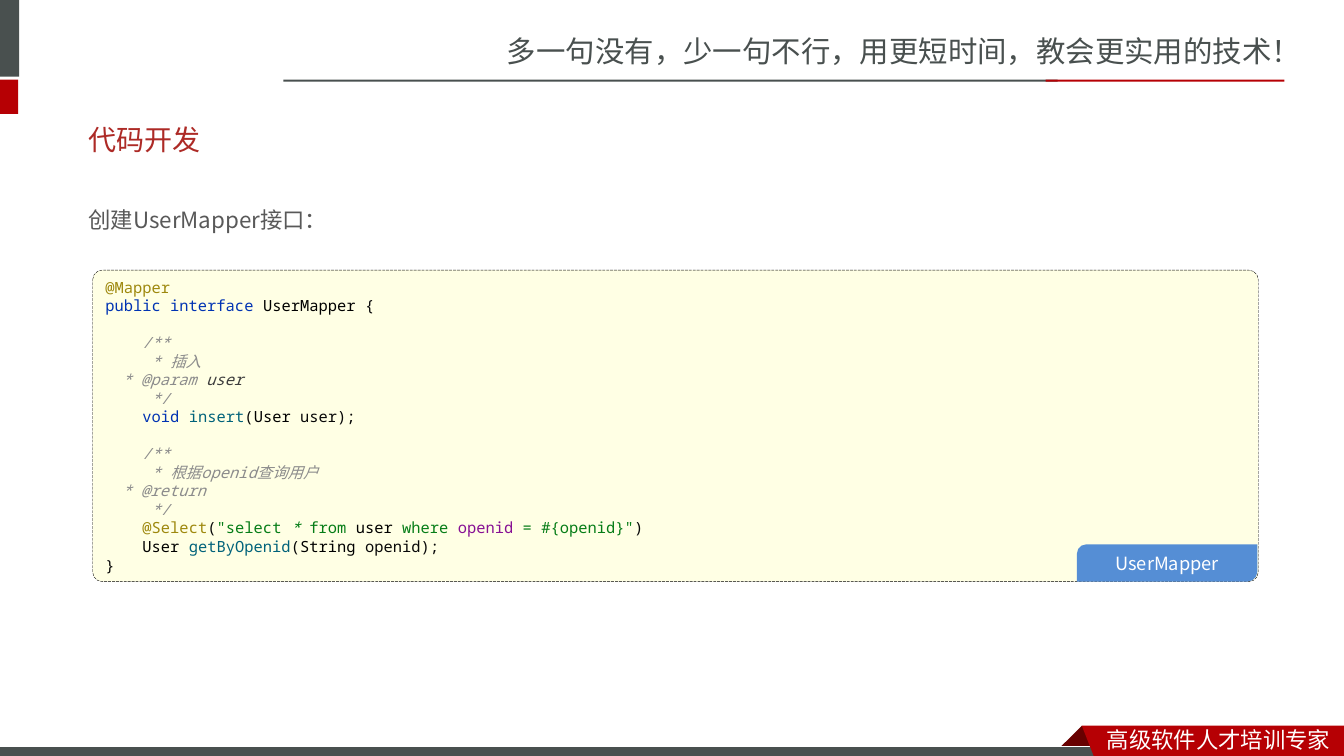
from dataclasses import dataclass
from typing import NamedTuple

from pptx import Presentation
from pptx.dml.color import RGBColor
from pptx.enum.dml import MSO_LINE
from pptx.enum.shapes import MSO_SHAPE
from pptx.enum.text import MSO_ANCHOR, PP_ALIGN
from pptx.oxml.ns import qn
from pptx.util import Inches, Pt

RECT = MSO_SHAPE.RECTANGLE
ROUND = MSO_SHAPE.ROUNDED_RECTANGLE
DIAG = MSO_SHAPE.ROUND_2_DIAG_RECTANGLE
DASH = MSO_LINE.LONG_DASH
TOP, MIDDLE = MSO_ANCHOR.TOP, MSO_ANCHOR.MIDDLE
LEFT, CENTER = PP_ALIGN.LEFT, PP_ALIGN.CENTER

SANS, BODY, HEAD, MONO = "Noto Sans CJK SC", "Noto Sans CJK JP", "Lato", "Noto Sans Mono"
GREY, RED, MAROON, WHITE, BLACK = "49504F", "B60004", "680000", "FFFFFF", "000000"


class Box(NamedTuple):
    x: float
    y: float
    w: float
    h: float


class Style(NamedTuple):
    size: float
    font: str
    color: str
    italic: bool = False


@dataclass
class Bar:
    box: Box
    fill: str
    line: str | None = None


@dataclass
class Label:
    box: Box
    text: str
    style: Style
    space: float = 1.0


BARS = [
    Bar(Box(0, 0, 0.19, 0.76), GREY),
    Bar(Box(0, 0.79, 0.18, 0.34), RED),
    Bar(Box(2.81, 0.79, 7.68, 0.02), GREY),
    Bar(Box(10.37, 0.79, 2.37, 0.02), RED),
]
BASE = Bar(Box(-0.01, 7.41, 11, 0.12), GREY, WHITE)
FOLD = [(10.73, 7.2), (10.95, 7.42), (10.94, 7.43), (10.52, 7.43), (10.51, 7.42)]
FLAG = [(10.73, 7.2), (13.33, 7.2), (13.33, 7.54), (10.86, 7.53)]
LABELS = [
    Label(Box(4.93, 0.28, 8.41, 0.47), "多一句没有，少一句不行，用更短时间，教会更实用的技术！",
          Style(21, SANS, GREY)),
    Label(Box(10.88, 7.15, 2.45, 0.37), "高级软件人才培训专家", Style(16, SANS, WHITE)),
    Label(Box(0.78, 1.86, 11.39, 0.46), "创建UserMapper接口：", Style(16, BODY, "595959"), 1.5),
]

# Syntax colours and the code, run by run
NOTE = Style(11, MONO, "8C8C8C", True)
HAN = NOTE._replace(font=SANS)
ARG = NOTE._replace(color="3D3D3D")
MARK = Style(11, MONO, "9E880D")
KEY = MARK._replace(color="0033B3")
TYPE = MARK._replace(color=BLACK)
PLAIN = MARK._replace(color="080808")
FUNC = MARK._replace(color="00627A")
TEXT = MARK._replace(color="067D17")
FIELD = MARK._replace(color="871094")
CODE = [
    (MARK, "@Mapper\n"), (KEY, "public interface "), (TYPE, "UserMapper "),
    (PLAIN, "{\n\n    "), (NOTE, "/**\n     * "), (HAN, "插入\n     "),
    (NOTE, "* @param "), (ARG, "user\n     "), (NOTE, "*/\n    "),
    (KEY, "void "), (FUNC, "insert"), (PLAIN, "("), (TYPE, "User "),
    (PLAIN, "user);\n\n    "), (NOTE, "/**\n     * "), (HAN, "根据"),
    (NOTE, "openid"), (HAN, "查询用户\n     "), (NOTE, "* @return\n     */\n    "),
    (MARK, "@Select"), (PLAIN, "("), (TEXT, '"select '),
    (TEXT._replace(italic=True), "* "), (TEXT, "from "), (TYPE, "user "),
    (TEXT, "where "), (FIELD, "openid "), (TEXT, '= #{openid}"'),
    (PLAIN, ")\n    "), (TYPE, "User "), (FUNC, "getByOpenid"), (PLAIN, "("),
    (TYPE, "String "), (PLAIN, "openid);\n}"),
]


def rgb(code: str) -> RGBColor:
    return RGBColor.from_string(code)


def place(box: Box) -> list[int]:
    return [Inches(side) for side in box]


def paint(shape, fill: str, line: str | None = None, width: float = 0.75) -> None:
    shape.shadow.inherit = False
    shape.fill.solid()
    shape.fill.fore_color.rgb = rgb(fill)
    if line:
        shape.line.color.rgb = rgb(line)
        shape.line.width = Pt(width)
    else:
        shape.line.fill.background()


def add_run(para, text: str, style: Style) -> None:
    run = para.add_run()
    run.text = text
    font = run.font
    font.size, font.name, font.italic = Pt(style.size), style.font, style.italic
    font.color.rgb = rgb(style.color)
    east = run._r.get_or_add_rPr().makeelement(qn("a:ea"), {})
    east.set("typeface", SANS if style.font == HEAD else style.font)
    run._r.rPr.find(qn("a:latin")).addnext(east)


def set_up(shape, anchor=TOP, align=LEFT):
    frame = shape.text_frame
    frame.word_wrap = True
    frame.vertical_anchor = anchor
    para = frame.paragraphs[0]
    para.alignment = align
    return para


def add_bar(shapes, bar: Bar) -> None:
    paint(shapes.add_shape(RECT, *place(bar.box)), bar.fill, bar.line)


def add_poly(shapes, points: list[tuple[float, float]], fill: str) -> None:
    first, *rest = [(Inches(x), Inches(y)) for x, y in points]
    pen = shapes.build_freeform(*first)
    pen.add_line_segments(rest, close=True)
    paint(pen.convert_to_shape(), fill)


def add_label(shapes, label: Label) -> None:
    para = set_up(shapes.add_textbox(*place(label.box)))
    para.line_spacing = label.space
    add_run(para, label.text, label.style)


def add_code(shapes) -> None:
    panel = shapes.add_shape(ROUND, *place(Box(0.92, 2.68, 11.56, 3.09)))
    panel.adjustments[0] = 0.03
    paint(panel, "FFFFE4", BLACK, 0.25)
    panel.line.dash_style = DASH
    para = set_up(panel, MIDDLE)
    para.line_spacing = Pt(13.25)
    for style, text in CODE:
        for row, part in enumerate(text.split("\n")):
            if row:
                para.add_line_break()
            if part:
                add_run(para, part, style)


def add_tab(shapes) -> None:
    tab = shapes.add_shape(DIAG, *place(Box(10.68, 5.4, 1.79, 0.37)))
    tab.adjustments[0], tab.adjustments[1] = 0.26, 0
    paint(tab, "558ED5")
    frame = tab.text_frame
    frame.margin_left = frame.margin_right = frame.margin_top = frame.margin_bottom = 0
    add_run(set_up(tab, MIDDLE, CENTER), "UserMapper", Style(13, BODY, WHITE))


def main() -> None:
    deck = Presentation()
    deck.slide_width, deck.slide_height = Inches(13.33), Inches(7.5)
    slide = deck.slides.add_slide(deck.slide_layouts[5])
    shapes = slide.shapes

    # Frame of the page
    for bar in BARS:
        add_bar(shapes, bar)
    add_poly(shapes, FOLD, MAROON)
    add_bar(shapes, BASE)
    add_poly(shapes, FLAG, RED)

    # Title and labels
    title = shapes.title
    title.left, title.top, title.width, title.height = place(Box(0.78, 1.1, 11.7, 0.57))
    add_run(set_up(title, MIDDLE), "代码开发", Style(20, HEAD, "AD2A26"))
    for label in LABELS:
        add_label(shapes, label)

    # Code panel with its file tab
    add_code(shapes)
    add_tab(shapes)
    deck.save("out.pptx")


if __name__ == "__main__":
    main()
